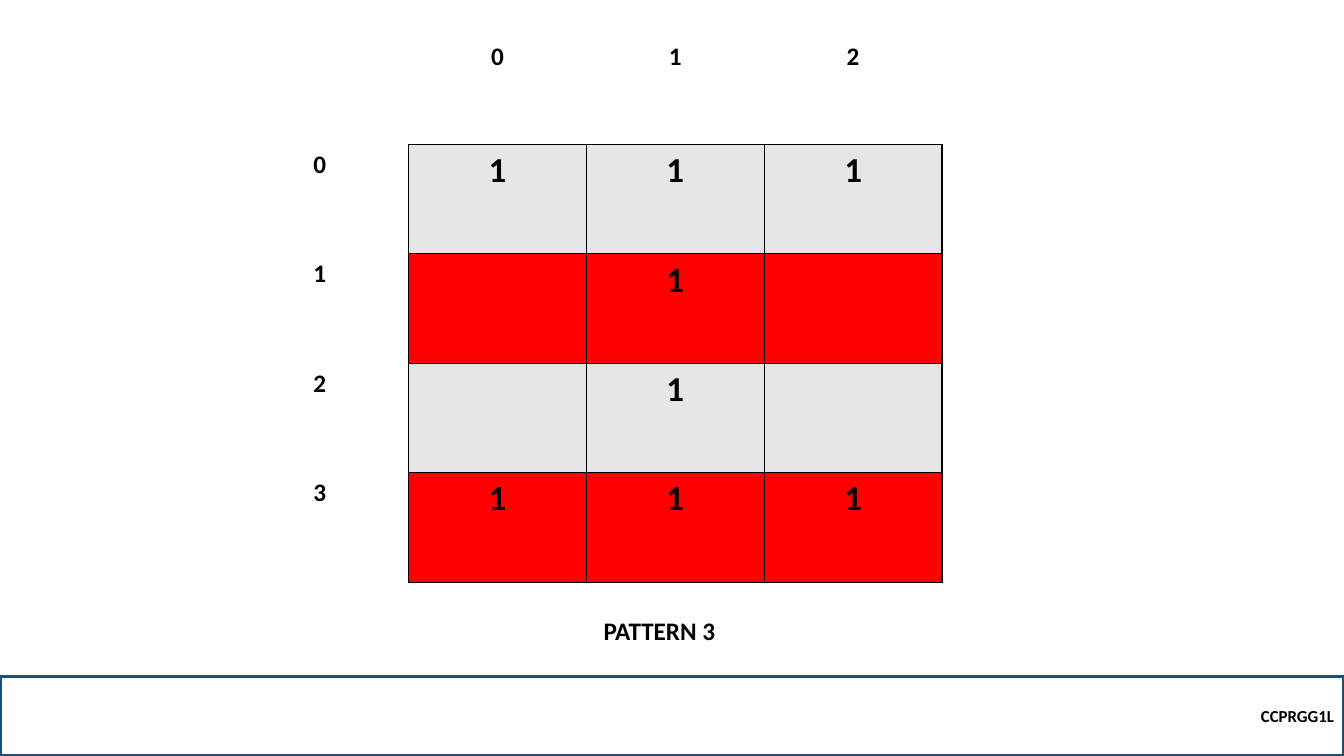
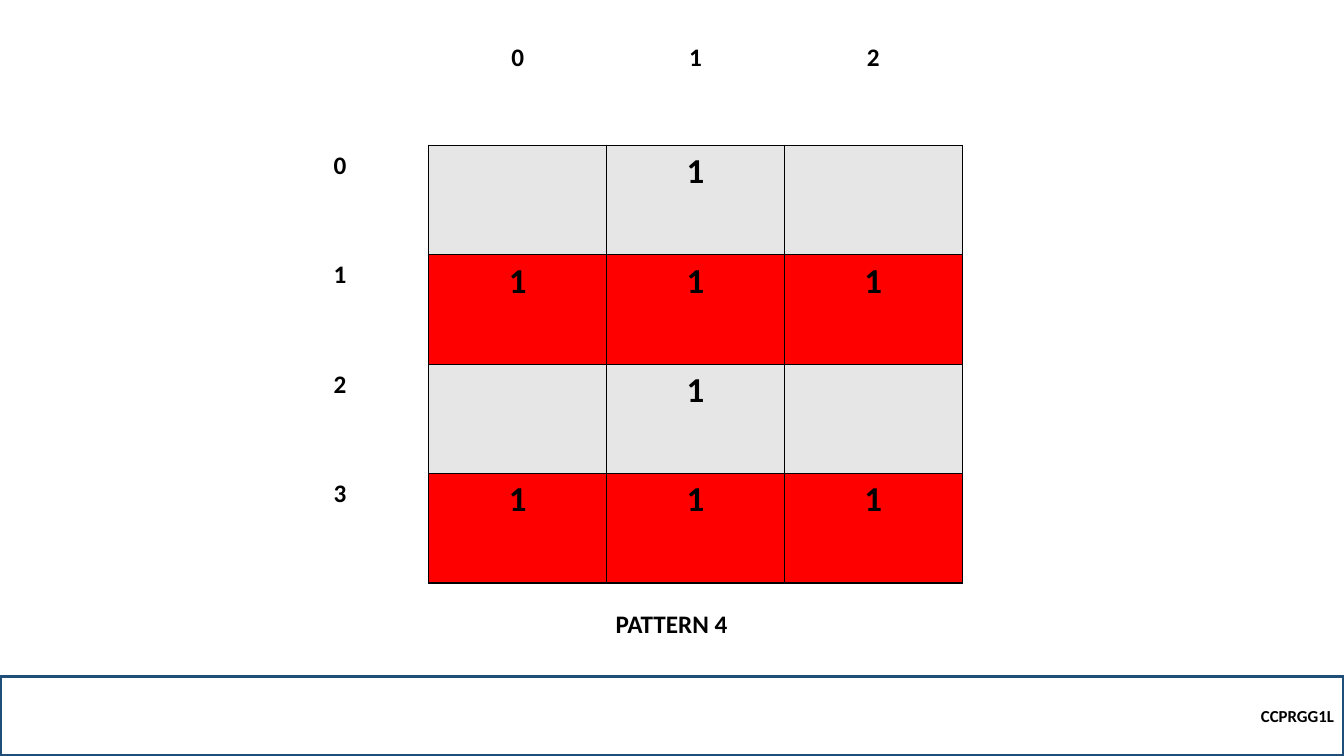
from lxml.etree import SubElement
from pptx import Presentation
from pptx.dml.color import RGBColor
from pptx.enum.shapes import MSO_SHAPE as Shape
from pptx.enum.text import MSO_ANCHOR as Anchor, MSO_AUTO_SIZE as AutoSize, PP_ALIGN as Align
from pptx.oxml.ns import qn
from pptx.util import Pt

# Shared look
COLORS = {"text": "000000", "grid": "000000", "band": "1F4E79",
          "light": "E7E6E6", "red": "FF0000"}
FONT = "Calibri"
LABEL_SIZE, VALUE_SIZE, FOOTER_SIZE = 18, 25, 12
SLIDE_WIDTH, SLIDE_HEIGHT, BAND_HEIGHT = 960, 540, 57
COLUMN_WIDTH, HEADER_HEIGHT, ROW_HEIGHT = 127, 77.2, 78.2
SIDES = ("L", "R", "T", "B")

# Each pattern row marks the filled cells with 1
PATTERNS = [
    {"name": "PATTERN 3", "rows": ["111", " 1 ", " 1 ", "111"],
     "table_at": (164.9, 25.9), "caption_box": (424, 435.6, 111.6, 29)},
    {"name": "PATTERN 4", "rows": [" 1 ", "111", " 1 ", "111"],
     "table_at": (179.3, 26.6), "caption_box": (432.7, 430.8, 95, 29)},
]


def color(name):
    return RGBColor.from_string(COLORS[name])


def write(text_frame, text, size, align):
    paragraph = text_frame.paragraphs[0]
    paragraph.alignment = align
    run = paragraph.add_run()
    run.text = text
    for name, value in {"name": FONT, "size": Pt(size), "bold": True}.items():
        setattr(run.font, name, value)
    run.font.color.rgb = color("text")


def add_footer(slide):
    shape = slide.shapes.add_shape(Shape.RECTANGLE, 0, Pt(SLIDE_HEIGHT - BAND_HEIGHT),
                                   Pt(SLIDE_WIDTH), Pt(BAND_HEIGHT))
    shape.shadow.inherit = False
    shape.fill.background()
    shape.line.color.rgb = color("band")
    shape.line.width = Pt(2.25)
    shape.text_frame.vertical_anchor = Anchor.MIDDLE
    write(shape.text_frame, "CCPRGG1L", FOOTER_SIZE, Align.RIGHT)


def add_caption(slide, text, box):
    text_frame = slide.shapes.add_textbox(*map(Pt, box)).text_frame
    frame_format = {"word_wrap": True, "auto_size": AutoSize.SHAPE_TO_FIT_TEXT,
                    "margin_right": 0}
    for name, value in frame_format.items():
        setattr(text_frame, name, value)
    write(text_frame, text, LABEL_SIZE, Align.LEFT)


def set_borders(cell, drawn):
    properties = cell._tc.get_or_add_tcPr()
    for index, side in enumerate(SIDES):
        line = SubElement(properties, qn("a:ln" + side), w=str(Pt(1)))
        if side in drawn:
            fill = SubElement(line, qn("a:solidFill"))
            SubElement(fill, qn("a:srgbClr"), val=COLORS["grid"])
        else:
            SubElement(line, qn("a:noFill"))
        properties.insert(index, line)  # borders come before the fill


def format_cell(cell, text, size, fill, borders):
    if text.strip():
        write(cell.text_frame, text, size, Align.CENTER)
    if fill:
        cell.fill.solid()
        cell.fill.fore_color.rgb = color(fill)
    else:
        cell.fill.background()
    set_borders(cell, borders)


def add_grid(slide, rows, position):
    row_count, column_count = len(rows) + 1, len(rows[0]) + 1
    heights = [HEADER_HEIGHT] + [ROW_HEIGHT] * len(rows)
    table = slide.shapes.add_table(row_count, column_count, *map(Pt, position),
                                   Pt(COLUMN_WIDTH * column_count), Pt(sum(heights))).table
    table.first_row = table.horz_banding = False
    for column in table.columns:
        column.width = Pt(COLUMN_WIDTH)
    for row, height in zip(table.rows, heights):
        row.height = Pt(height)

    # Corner, column numbers, then numbered rows in alternating colours
    format_cell(table.cell(0, 0), "", LABEL_SIZE, None, "")
    for column in range(1, column_count):
        format_cell(table.cell(0, column), str(column - 1), LABEL_SIZE, None, "B")
    for number, values in enumerate(rows):
        format_cell(table.cell(number + 1, 0), str(number), LABEL_SIZE, None, "R")
        fill = "red" if number % 2 else "light"
        for column, value in enumerate(values, 1):
            format_cell(table.cell(number + 1, column), value, VALUE_SIZE, fill, SIDES)


def main():
    presentation = Presentation()
    presentation.slide_width = Pt(SLIDE_WIDTH)
    presentation.slide_height = Pt(SLIDE_HEIGHT)
    for pattern in PATTERNS:
        slide = presentation.slides.add_slide(presentation.slide_layouts[6])
        add_footer(slide)
        add_grid(slide, pattern["rows"], pattern["table_at"])
        add_caption(slide, pattern["name"], pattern["caption_box"])
    presentation.save("out.pptx")


main()
